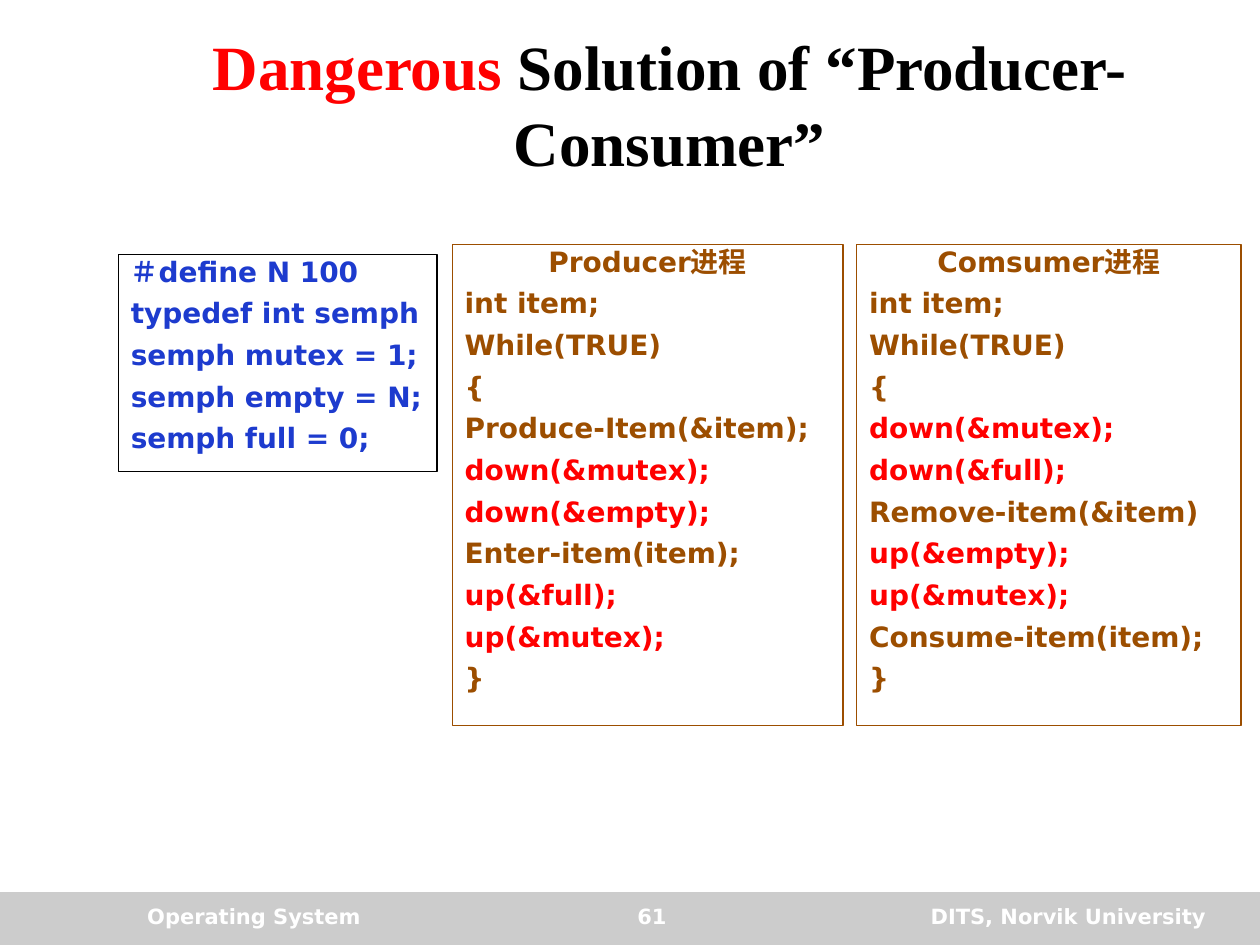
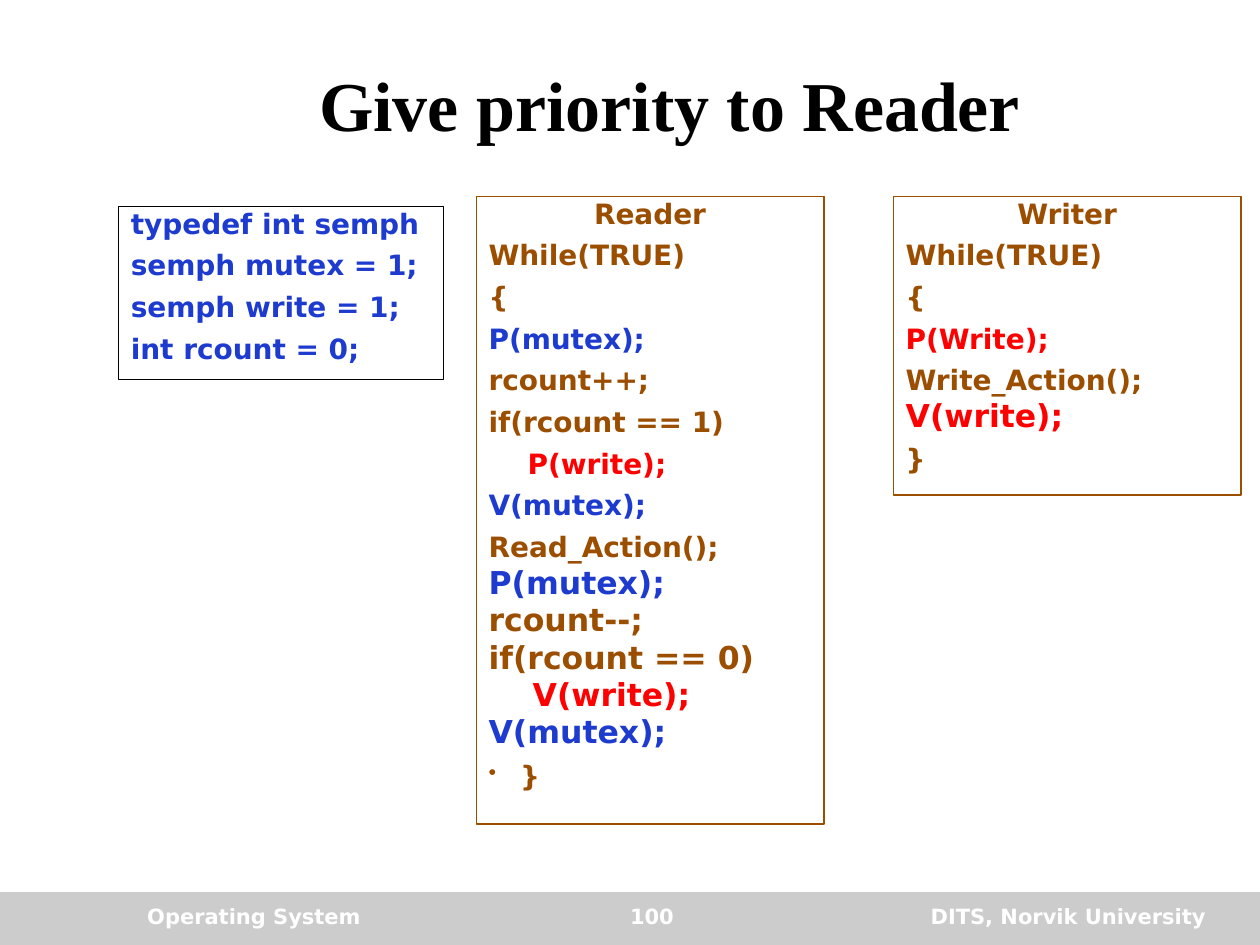
"""Build two slides on semaphore solutions: producer-consumer and reader-writer."""
from dataclasses import dataclass

from lxml.etree import SubElement
from pptx import Presentation
from pptx.dml.color import RGBColor
from pptx.enum.shapes import MSO_SHAPE
from pptx.enum.text import MSO_ANCHOR, MSO_AUTO_SIZE, PP_ALIGN
from pptx.oxml.ns import qn
from pptx.util import Inches, Pt

BLACK, WHITE, GREY = "000000", "FFFFFF", "CCCCCC"
BROWN, BLUE, RED = "9C4E00", "1D3BCE", "FF0000"
TITLE_FONT, CODE_FONT = "Times New Roman", "DejaVu Sans"


@dataclass(frozen=True)
class Line:
    """One line of code and how it is set."""
    text: str
    color: str = BROWN
    size: int = 16
    before: float = 8.45
    indent: float = 0
    align: PP_ALIGN = PP_ALIGN.LEFT
    bullet: bool = False


@dataclass(frozen=True)
class CodeBox:
    """A framed listing."""
    left: float
    top: float
    width: float
    height: float
    border: str
    lines: list[Line]


@dataclass(frozen=True)
class Page:
    """The content of one slide."""
    number: int
    title: list[tuple[str, str]]
    title_size: int
    boxes: list[CodeBox]


def rgb(color: str) -> RGBColor:
    """Turn a hex string into a colour."""
    return RGBColor.from_string(color)


def place(sp, left: float, top: float, width: float, height: float) -> None:
    """Move and size a shape, in inches."""
    sp.left, sp.top = Inches(left), Inches(top)
    sp.width, sp.height = Inches(width), Inches(height)


def set_font(font, name: str, size: int, color: str | None = None) -> None:
    """Apply a bold font."""
    font.name, font.size, font.bold = name, Pt(size), True
    if color:
        font.color.rgb = rgb(color)


def add_rect(s, left: float, top: float, width: float, height: float):
    """Add a plain rectangle without shadow."""
    sp = s.shapes.add_shape(MSO_SHAPE.RECTANGLE, Inches(left), Inches(top),
                            Inches(width), Inches(height))
    sp.shadow.inherit = False
    return sp


def add_title(s, parts: list[tuple[str, str]], size: int) -> None:
    """Fill the title placeholder with coloured runs."""
    sp = s.shapes.title
    place(sp, 1.06, 0.33, 8.51, 0.98)
    tf = sp.text_frame
    tf.auto_size, tf.vertical_anchor = MSO_AUTO_SIZE.NONE, MSO_ANCHOR.MIDDLE
    p = tf.paragraphs[0]
    p.alignment = PP_ALIGN.CENTER
    set_font(p.font, TITLE_FONT, size)
    for text, color in parts:
        r = p.add_run()
        r.text = text
        r.font.color.rgb = rgb(color)


def add_footer(s, number: int) -> None:
    """Draw the grey band with its three texts."""
    band = add_rect(s, 0, 7.08, 10, 0.42)
    band.fill.solid()
    band.fill.fore_color.rgb = rgb(GREY)
    band.line.fill.background()
    for text, left, width, align in (
            ("Operating System", 1.07, 2.75, PP_ALIGN.LEFT),
            (str(number), 4.01, 2.33, PP_ALIGN.CENTER),
            ("DITS, Norvik University", 6.5, 3.17, PP_ALIGN.RIGHT)):
        sp = s.shapes.add_textbox(Inches(left), Inches(7.12), Inches(width), Inches(0.33))
        tf = sp.text_frame
        tf.word_wrap = True
        p = tf.paragraphs[0]
        p.text, p.alignment = text, align
        set_font(p.font, CODE_FONT, 12, WHITE)


def set_indent(p, line: Line) -> None:
    """Set the left margin and, if asked, a hanging bullet."""
    props = p._p.get_or_add_pPr()
    props.set("marL", str(Inches(line.indent)))
    if line.bullet:
        props.set("indent", str(-Inches(line.indent)))
        size = SubElement(props, qn("a:buSzPct"), val="80000")
        char = SubElement(props, qn("a:buChar"), char="•")
        size.addnext(char)
        fonts = props.find(qn("a:defRPr"))
        if fonts is not None:
            props.append(fonts)


def add_code(s, box: CodeBox) -> None:
    """Draw a framed listing."""
    sp = add_rect(s, box.left, box.top, box.width, box.height)
    sp.fill.background()
    sp.line.color.rgb, sp.line.width = rgb(box.border), Pt(0.75)
    tf = sp.text_frame
    tf.word_wrap, tf.vertical_anchor = True, MSO_ANCHOR.TOP
    for i, line in enumerate(box.lines):
        p = tf.add_paragraph() if i else tf.paragraphs[0]
        p.text, p.alignment, p.line_spacing = line.text, line.align, 0.8
        p.space_before = Pt(line.before if i else 0)
        set_font(p.font, CODE_FONT, line.size, line.color)
        set_indent(p, line)


def code(color: str, *texts: str) -> list[Line]:
    """Set several lines in one colour."""
    return [Line(text, color) for text in texts]


def large(text: str, color: str = BROWN, indent: float = 0) -> Line:
    """Set a larger, tighter line."""
    return Line(text, color, size=18, before=4.1, indent=indent)


def heading(text: str) -> Line:
    """Set the centred name of a process."""
    return Line(text, align=PP_ALIGN.CENTER)


PAGES = [
    Page(61, [("Dangerous", RED), (" Solution of “Producer-Consumer”", BLACK)], 36, [
        CodeBox(3.59, 1.94, 3.1, 3.82, BROWN, [
            heading("Producer进程"),
            *code(BROWN, "int item;", "While(TRUE)", "{", "Produce-Item(&item);"),
            *code(RED, "down(&mutex);", "down(&empty);"),
            *code(BROWN, "Enter-item(item);"),
            *code(RED, "up(&full);", "up(&mutex);"),
            *code(BROWN, "}")]),
        CodeBox(0.94, 2.02, 2.53, 1.72, BLACK, code(
            BLUE, "＃define N 100", "typedef int semph", "semph mutex = 1;",
            "semph empty = N;", "semph full = 0;")),
        CodeBox(6.8, 1.94, 3.05, 3.82, BROWN, [
            heading("Comsumer进程"),
            *code(BROWN, "int item;", "While(TRUE)", "{"),
            *code(RED, "down(&mutex);", "down(&full);"),
            *code(BROWN, "Remove-item(&item)"),
            *code(RED, "up(&empty);", "up(&mutex);"),
            *code(BROWN, "Consume-item(item);", "}")]),
    ]),
    Page(100, [("Give priority to Reader", BLACK)], 40, [
        CodeBox(0.94, 1.64, 2.58, 1.37, BLACK, code(
            BLUE, "typedef int semph", "semph mutex = 1;", "semph write = 1;",
            "int rcount = 0;")),
        CodeBox(3.78, 1.56, 2.76, 4.98, BROWN, [
            heading("Reader"),
            *code(BROWN, "While(TRUE)", "{"),
            *code(BLUE, "P(mutex);"),
            *code(BROWN, "rcount++;", "if(rcount == 1)"),
            Line("P(write);", RED, indent=0.31),
            *code(BLUE, "V(mutex);"),
            *code(BROWN, "Read_Action();"),
            large("P(mutex);", BLUE),
            large("rcount--;"),
            large("if(rcount == 0)"),
            large("V(write);", RED, 0.35),
            large("V(mutex);", BLUE),
            Line("}", indent=0.25, bullet=True)]),
        CodeBox(7.09, 1.56, 2.76, 2.37, BROWN, [
            heading("Writer"),
            *code(BROWN, "While(TRUE)", "{"),
            *code(RED, "P(Write);"),
            *code(BROWN, "Write_Action();"),
            large("V(write);", RED),
            *code(BROWN, "}")]),
    ]),
]


def main() -> None:
    """Build and save the presentation."""
    prs = Presentation()
    prs.slide_width, prs.slide_height = Inches(10), Inches(7.5)
    for page in PAGES:
        s = prs.slides.add_slide(prs.slide_layouts[5])
        add_footer(s, page.number)
        add_title(s, page.title, page.title_size)
        for box in page.boxes:
            add_code(s, box)
    prs.save("out.pptx")


main()
